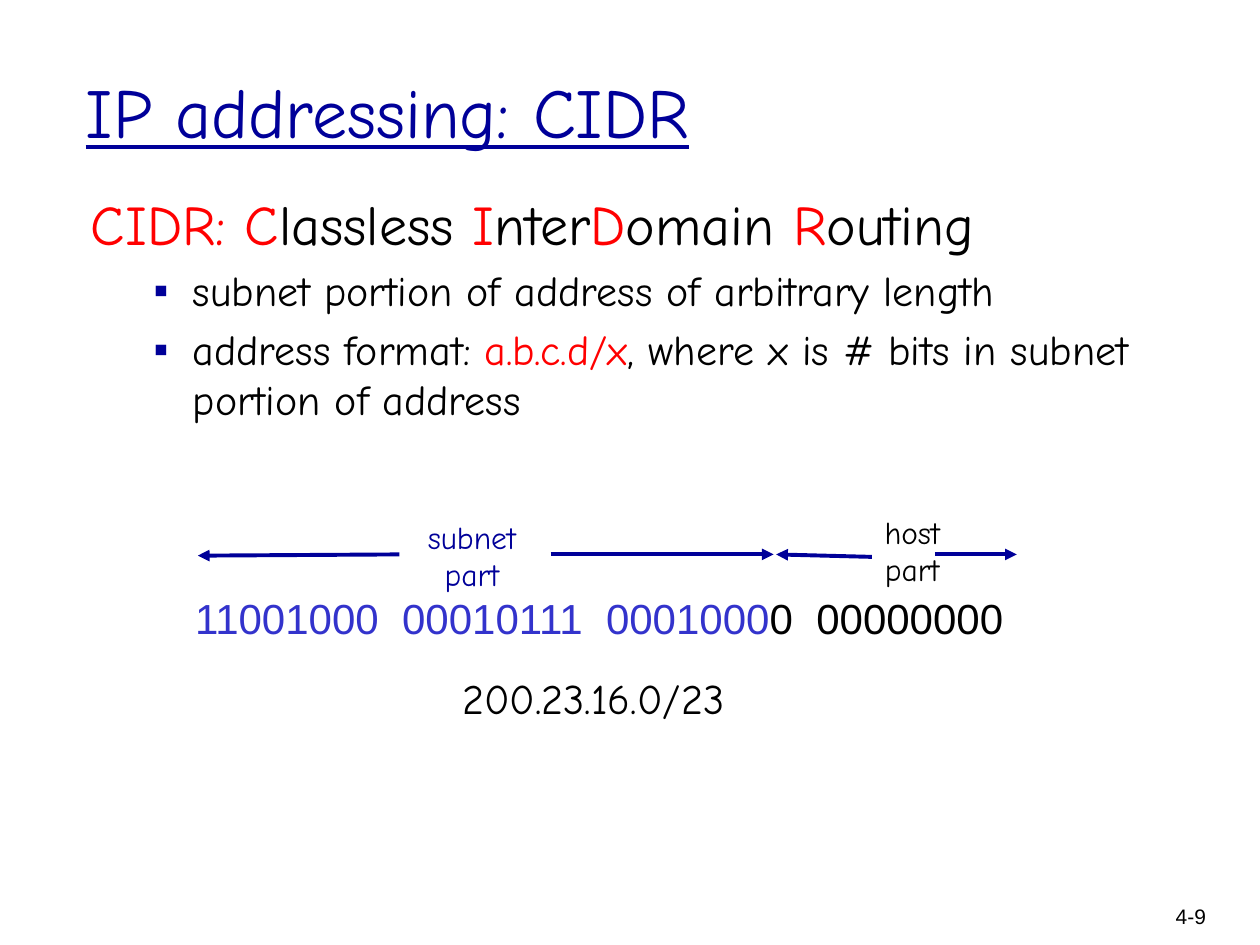
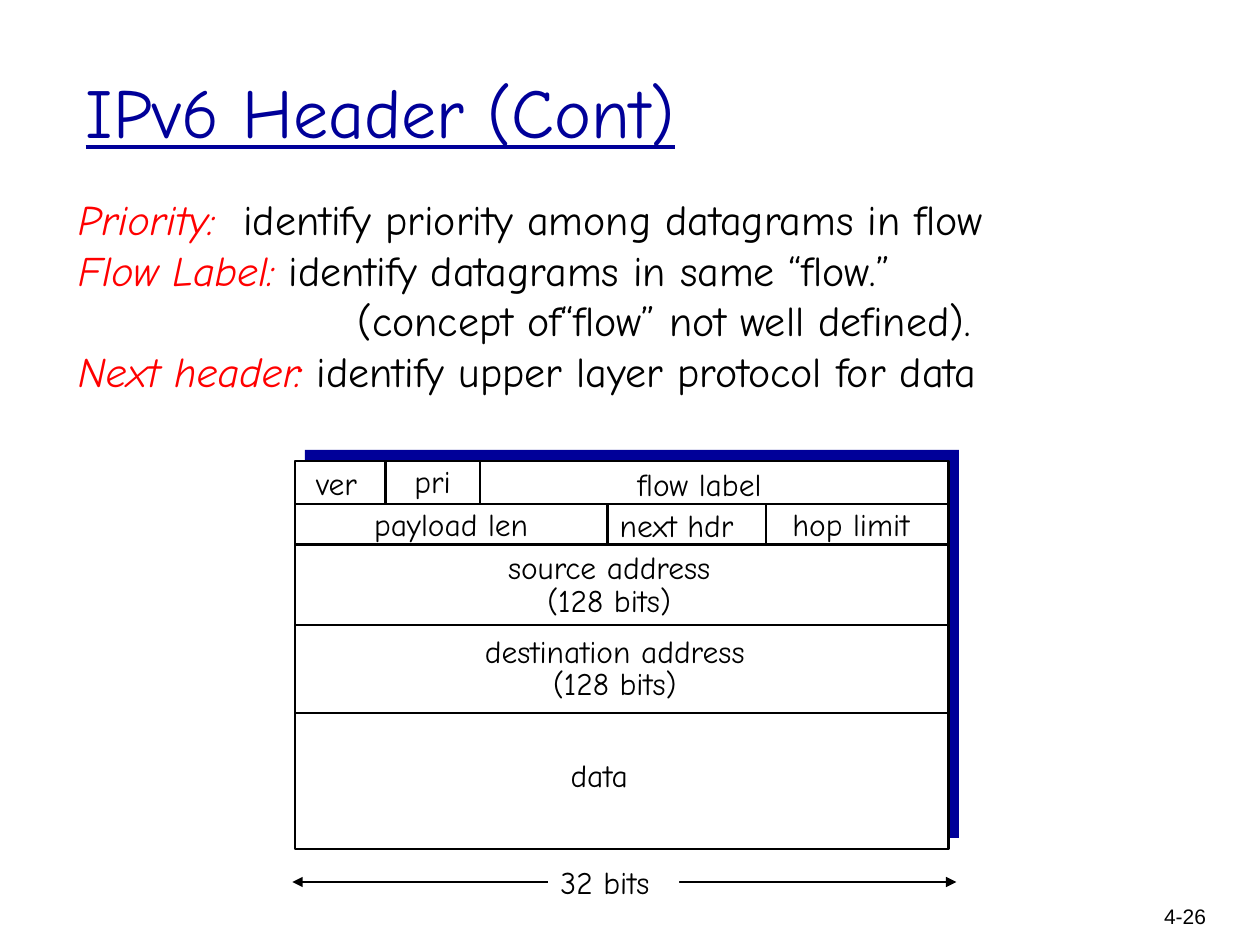
from typing import NamedTuple

from lxml.etree import SubElement
from pptx import Presentation
from pptx.dml.color import RGBColor
from pptx.enum.shapes import MSO_CONNECTOR as Connector, MSO_SHAPE as Shape
from pptx.enum.text import MSO_ANCHOR as Anchor, MSO_AUTO_SIZE as AutoSize, PP_ALIGN as Align
from pptx.oxml.ns import qn
from pptx.util import Inches, Pt

NAVY, BLUE, RED, BLACK, WHITE = "000099", "3333CC", "FF0000", "000000", "FFFFFF"
HAND, SANS = "Comic Neue", "Arial"


class Run(NamedTuple):
    text: str
    color: str = BLACK
    italic: bool = False


class Label(NamedTuple):
    lines: list[list[Run]]
    left: float
    top: float
    width: float
    height: float = 0.4
    size: float = 18
    font: str = HAND
    align: Align = Align.LEFT
    spacing: float = 1.0
    wrap: bool = False


class Line(NamedTuple):
    x1: float
    y1: float
    x2: float
    y2: float
    color: str = BLACK
    width: float = 1.5
    head: bool = False
    tail: bool = False


def rgb(color: str) -> RGBColor:
    return RGBColor.from_string(color)


def place(s, left: float, top: float, width: float, height: float) -> None:
    s.left, s.top = Inches(left), Inches(top)
    s.width, s.height = Inches(width), Inches(height)


def add_runs(p, runs: list[Run], size: float, font: str = HAND) -> None:
    for run in runs:
        r = p.add_run()
        r.text = run.text
        r.font.name, r.font.size, r.font.italic = font, Pt(size), run.italic
        r.font.color.rgb = rgb(run.color)


def set_indent(p, left: float, first: float = 0, bullet: str = "") -> None:
    pPr = p._p.get_or_add_pPr()
    pPr.set("marL", str(Inches(left)))
    pPr.set("indent", str(Inches(first)))
    if bullet:
        color = SubElement(pPr, qn("a:buClr"))
        SubElement(color, qn("a:srgbClr"), val=NAVY)
        SubElement(pPr, qn("a:buFont"), typeface=SANS)
        SubElement(pPr, qn("a:buChar"), char=bullet)
    else:
        SubElement(pPr, qn("a:buNone"))


def add_label(slide, label: Label):
    s = slide.shapes.add_textbox(0, 0, 0, 0)
    place(s, label.left, label.top, label.width, label.height)
    tf = s.text_frame
    tf.word_wrap = label.wrap
    tf.auto_size = AutoSize.SHAPE_TO_FIT_TEXT
    for i, runs in enumerate(label.lines):
        p = tf.add_paragraph() if i else tf.paragraphs[0]
        p.alignment, p.line_spacing = label.align, label.spacing
        add_runs(p, runs, label.size, label.font)
    return s


def add_line(slide, line: Line) -> None:
    ends = (Inches(v) for v in line[:4])
    s = slide.shapes.add_connector(Connector.STRAIGHT, *ends)
    s.line.color.rgb, s.line.width = rgb(line.color), Pt(line.width)
    ln = s.line._get_or_add_ln()
    for wanted, tag in ((line.head, "a:headEnd"), (line.tail, "a:tailEnd")):
        if wanted:
            SubElement(ln, qn(tag), type="triangle")
    SubElement(s._element.spPr, qn("a:effectLst"))


def add_rect(slide, left: float, top: float, width: float, height: float,
             fill: str, outline: str = "") -> None:
    s = slide.shapes.add_shape(Shape.RECTANGLE, 0, 0, 0, 0)
    place(s, left, top, width, height)
    s.shadow.inherit = False
    s.fill.solid()
    s.fill.fore_color.rgb = rgb(fill)
    if outline:
        s.line.color.rgb, s.line.width = rgb(outline), Pt(1.5)
    else:
        s.line.fill.background()


def new_slide(prs, layout: int, title: str, number: str):
    """Add a slide with the shared title style and page number."""
    slide = prs.slides.add_slide(prs.slide_layouts[layout])
    s = slide.shapes.title
    place(s, 0.58, 0.25, 8.5, 1.25)
    tf = s.text_frame
    tf.text = title
    tf.vertical_anchor, tf.auto_size = Anchor.MIDDLE, AutoSize.NONE
    p = tf.paragraphs[0]
    p.alignment = Align.LEFT
    font = p.runs[0].font
    font.name, font.size, font.underline = HAND, Pt(40), True
    font.color.rgb = rgb(NAVY)
    add_label(slide, Label([[Run(number)]], 8.93, 7.12, 0.74, 0.38, 12, SANS,
                           Align.RIGHT, wrap=True))
    return slide


def build_cidr(prs) -> None:
    slide = new_slide(prs, 1, "IP addressing: CIDR", "4-9")

    # Definition and its two points
    body = slide.placeholders[1]
    place(body, 0.62, 1.45, 8.87, 3.47)
    tf = body.text_frame
    tf.auto_size = AutoSize.NONE
    definition = [Run("CIDR: C", RED), Run("lassless "), Run("I", RED), Run("nter"),
                  Run("D", RED), Run("omain "), Run("R", RED), Run("outing")]
    points = [
        [Run("subnet portion of address of arbitrary length")],
        [Run("address format: "), Run("a.b.c.d/x", RED),
         Run(", where x is # bits in subnet portion of address")],
    ]
    for i, runs in enumerate([definition, *points]):
        p = tf.add_paragraph() if i else tf.paragraphs[0]
        size = 24 if i else 32
        p.space_before = Pt(0.2 * size)
        if i:
            p.level = 1
            set_indent(p, 0.81, -0.31, "▪")
        else:
            set_indent(p, 0.38, -0.38)
        add_runs(p, runs, size)

    # Binary address, its two parts and the dotted form
    labels = [
        Label([[Run("11001000  00010111  0001000", BLUE), Run("0  00000000")]],
              1.45, 4.65, 6.7, 0.5, 24, SANS),
        Label([[Run("subnet", NAVY)], [Run("part", NAVY)]],
              3.25, 4.06, 0.99, 0.7, align=Align.CENTER),
        Label([[Run("host")], [Run("part")]], 6.88, 4.02, 0.72, 0.7, align=Align.CENTER),
        Label([[Run("200.23.16.0/23")]], 3.57, 5.29, 2.6, 0.5, 24),
    ]
    for label in labels:
        add_label(slide, label)

    # Arrows spanning the subnet and host bits
    spans = [(4.37, 4.4, 6.14, 4.4), (3.17, 4.4, 1.57, 4.41),
             (6.92, 4.42, 6.16, 4.4), (7.42, 4.4, 8.07, 4.4)]
    for span in spans:
        add_line(slide, Line(*span, NAVY, 2.25, tail=True))


def build_ipv6_header(prs) -> None:
    slide = new_slide(prs, 5, "IPv6 Header (Cont)", "4-26")

    # Field descriptions
    descriptions = [
        [Run("Priority:", RED, True), Run("  identify priority among datagrams in flow")],
        [Run("Flow Label:", RED, True), Run(" identify datagrams in same “flow.”")],
        [Run("(concept of“flow” not well defined).")],
        [Run("Next header:", RED, True), Run(" identify upper layer protocol for data")],
    ]
    s = add_label(slide, Label(descriptions, 0.52, 1.49, 8.35, 1.7, 24, wrap=True))
    set_indent(s.text_frame.paragraphs[2], 2.22)

    # Header box with its offset backing
    left, width, height, offset = 2.34, 5.19, 3.08, 0.08
    row_tops = [3.66, 4.0, 4.32, 4.96, 5.66]
    add_rect(slide, left + offset, row_tops[0] - 0.09, width, height, NAVY)
    add_rect(slide, left, row_tops[0], width, height, WHITE, BLACK)

    # Row rules, then the column dividers of the first two rows
    for y in row_tops[1:]:
        add_line(slide, Line(left, y, left + width, y))
    for row, columns in enumerate([(3.06, 3.81), (4.82, 6.08)]):
        for x in columns:
            add_line(slide, Line(x, row_tops[row], x, row_tops[row + 1]))

    # Field names
    fields = [("ver", 2.41, 3.63, 0.58), ("pri", 3.19, 3.62, 0.52),
              ("flow label", 4.96, 3.64, 1.32), ("payload len", 2.87, 3.96, 1.48),
              ("next hdr", 4.82, 3.97, 1.22), ("hop limit", 6.19, 3.96, 1.2),
              ("data", 4.43, 5.95, 0.72)]
    for text, *box in fields:
        add_label(slide, Label([[Run(text)]], *box))
    addresses = [("source address", 3.85, 4.35, 1.97),
                 ("destination address", 3.63, 5.01, 2.5)]
    for text, *box in addresses:
        add_label(slide, Label([[Run(text)], [Run("(128 bits)")]], *box, 0.61,
                               align=Align.CENTER, spacing=0.85))

    # Width marker, its label masking the middle of the arrow
    add_line(slide, Line(2.32, 7, 7.59, 7, width=0.75, head=True, tail=True))
    s = add_label(slide, Label([[Run("32 bits")]], 4.35, 6.8, 1.04))
    s.fill.solid()
    s.fill.fore_color.rgb = rgb(WHITE)


def main() -> None:
    prs = Presentation()
    prs.slide_width, prs.slide_height = Inches(10), Inches(7.5)
    build_cidr(prs)
    build_ipv6_header(prs)
    prs.save("out.pptx")


if __name__ == "__main__":
    main()
